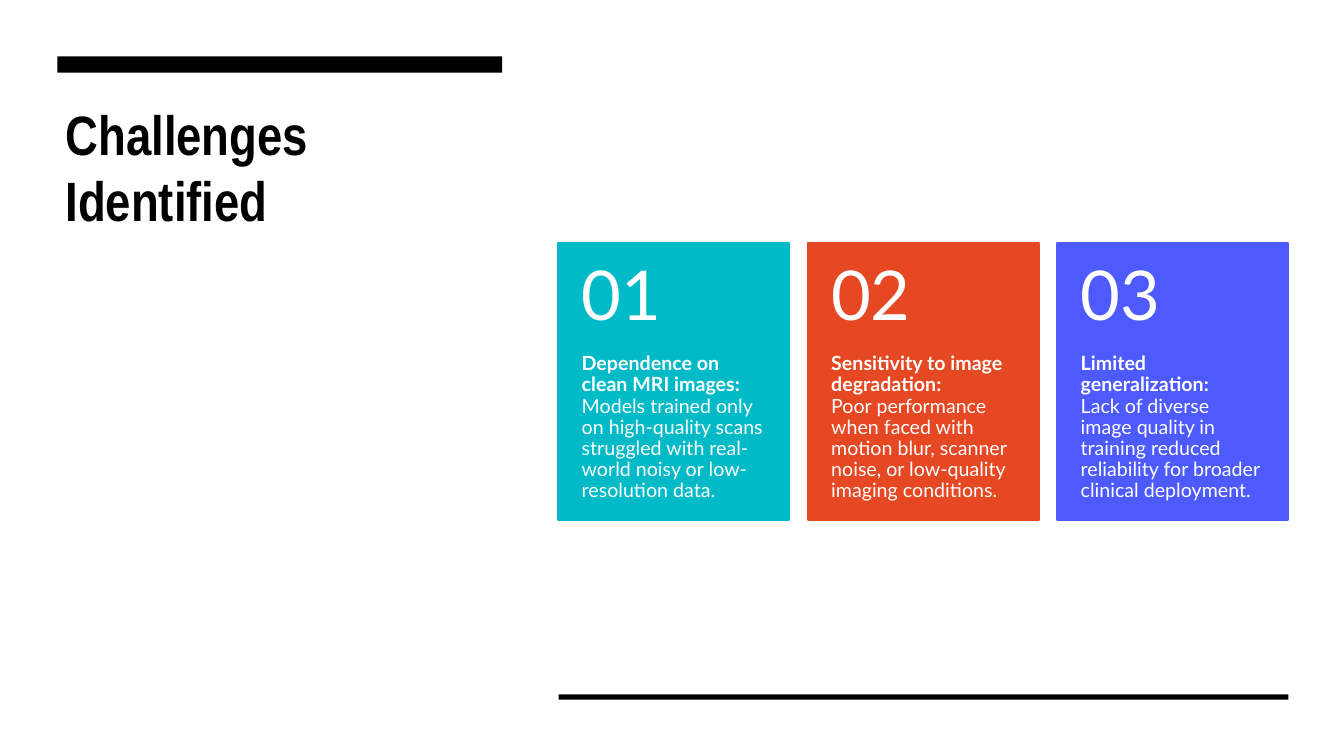
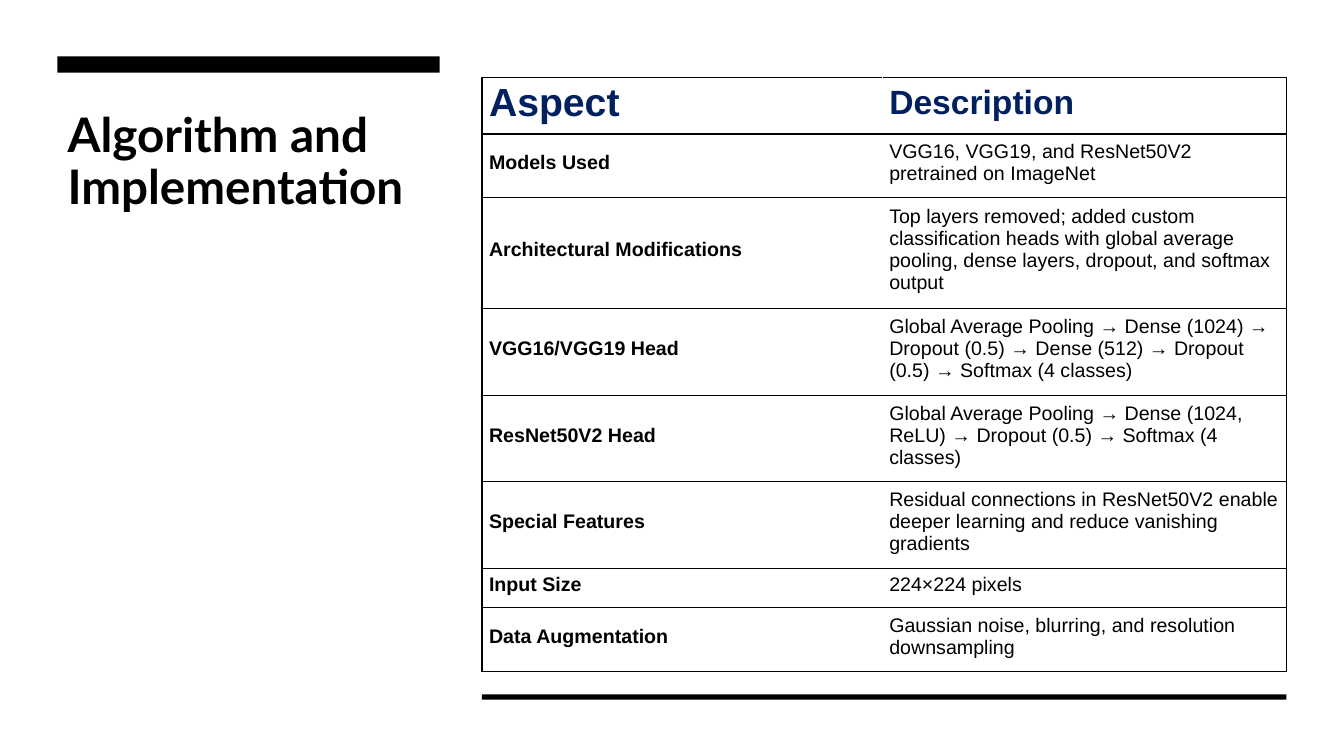
from dataclasses import dataclass

from lxml import etree
from pptx import Presentation
from pptx import util as u
from pptx.dml.color import RGBColor
from pptx.enum import shapes, text
from pptx.oxml import ns

WIDE, HIGH = u.Inches(13.33), u.Inches(7.5)


@dataclass(frozen=True)
class Theme:
    black: str = "000000"
    white: str = "FFFFFF"
    navy: str = "002060"
    cards: tuple = ("00BAC8", "E64823", "4D5AFF")
    sans: str = "Lato"
    slim: str = "Arial Narrow"
    grid: str = "Arial"
    body: float = 14
    digit: float = 49
    heads: tuple = (28, 24)


T = Theme()

CARDS = [
    ("Dependence on clean MRI images:",
     "Models trained only on high-quality scans struggled with "
     "real-world noisy or low-resolution data."),
    ("Sensitivity to image degradation:",
     "Poor performance when faced with motion blur, scanner noise, "
     "or low-quality imaging conditions."),
    ("Limited generalization:",
     "Lack of diverse image quality in training reduced reliability "
     "for broader clinical deployment."),
]

# Row height in inches, aspect, description
ROWS = [
    (0.56, "Aspect", "Description"),
    (0.63, "Models Used", "VGG16, VGG19, and ResNet50V2 pretrained on ImageNet"),
    (1.1, "Architectural Modifications",
     "Top layers removed; added custom classification heads with global "
     "average pooling, dense layers, dropout, and softmax output"),
    (0.86, "VGG16/VGG19 Head",
     "Global Average Pooling → Dense (1024) → Dropout (0.5) → Dense (512) "
     "→ Dropout (0.5) → Softmax (4 classes)"),
    (0.86, "ResNet50V2 Head",
     "Global Average Pooling → Dense (1024, ReLU) → Dropout (0.5) "
     "→ Softmax (4 classes)"),
    (0.86, "Special Features",
     "Residual connections in ResNet50V2 enable deeper learning and "
     "reduce vanishing gradients"),
    (0.39, "Input Size", "224×224 pixels"),
    (0.63, "Data Augmentation",
     "Gaussian noise, blurring, and resolution downsampling"),
]


def place(x, y, w, h):
    """Turn percent of the slide's size into lengths."""
    return [int(full * part / 100)
            for full, part in zip((WIDE, HIGH, WIDE, HIGH), (x, y, w, h))]


def write(frame, words, size=T.body, font=T.sans, color=T.black, bold=False,
          space=None, anchor=text.MSO_ANCHOR.TOP, inset=None):
    """Write one run, or several (words, bold) runs split by line breaks."""
    frame.word_wrap = True
    frame.auto_size = text.MSO_AUTO_SIZE.NONE
    frame.vertical_anchor = anchor
    if inset:
        (frame.margin_left, frame.margin_top, frame.margin_right,
         frame.margin_bottom) = map(u.Inches, inset)
    par = frame.paragraphs[0]
    par.alignment = text.PP_ALIGN.LEFT
    par.line_spacing = space
    runs = [(words, bold)] if isinstance(words, str) else words
    for n, (part, heavy) in enumerate(runs):
        if n:
            par.add_line_break()
        run = par.add_run()
        run.text = part
        run.font.size = u.Pt(size)
        run.font.name = font
        run.font.bold = heavy
        run.font.color.rgb = RGBColor.from_string(color)


def block(home, box, color, line=None):
    """Draw a flat filled rectangle."""
    rect = home.add_shape(shapes.MSO_SHAPE.RECTANGLE, *place(*box))
    rect.shadow.inherit = False
    rect.fill.solid()
    rect.fill.fore_color.rgb = RGBColor.from_string(color)
    if line:
        rect.line.color.rgb = RGBColor.from_string(color)
        rect.line.width = u.Pt(line)
    else:
        rect.line.fill.background()


def label(home, box, words, **style):
    write(home.add_textbox(*place(*box)).text_frame, words, **style)


def start(deck, title, box, bar, left, wide, **style):
    """Add a slide with its title, top bar and bottom rule."""
    slide = deck.slides.add_slide(deck.slide_layouts[5])
    slide.background.fill.solid()
    slide.background.fill.fore_color.rgb = RGBColor.from_string(T.white)
    head = slide.shapes.title
    head.left, head.top, head.width, head.height = place(*box)
    write(head.text_frame, title, bold=True, **style)
    block(slide.shapes, (4.28, 7.47, bar, 2.13), T.black)
    block(slide.shapes, (left, 91.87, wide, 0.67), T.black)
    return slide


def card(slide, num, box, color, lead, note):
    """Group a colour tile with its number and text."""
    x, y, w, h = box
    top = 0.4 * h
    home = slide.shapes.add_group_shape().shapes
    block(home, box, color, line=1.5)
    label(home, (x, y + top, w, h - top), [(lead, True), (note, False)],
          color=T.white, space=0.9, inset=(0.23, 0, 0.23, 0.1))
    label(home, (x, y, w, top), f"{num:02}", size=T.digit, color=T.white,
          space=0.9, anchor=text.MSO_ANCHOR.MIDDLE,
          inset=(0.23, 0.18, 0.23, 0.18))


def edge(cell, sides):
    """Give the named sides of a cell a thin black line."""
    props = cell._tc.get_or_add_tcPr()
    for side in sides:
        line = etree.SubElement(props, ns.qn(f"a:ln{side}"), w=str(u.Pt(1)))
        fill = etree.SubElement(line, ns.qn("a:solidFill"))
        etree.SubElement(fill, ns.qn("a:srgbClr"), val=T.black)


def table(slide, x, y, w):
    """Build the two-column table from ROWS."""
    tall = sum(row[0] for row in ROWS) / HIGH.inches * 100
    grid = slide.shapes.add_table(len(ROWS), 2, *place(x, y, w, tall)).table
    grid.first_row = grid.horz_banding = False
    for col, wide in zip(grid.columns, (3.97, 4.01)):
        col.width = u.Inches(wide)
    for r, (high, *words) in enumerate(ROWS):
        grid.rows[r].height = u.Inches(high)
        for c, word in enumerate(words):
            cell = grid.cell(r, c)
            edge(cell, ("LTB", "RTB")[c])
            cell.fill.solid()
            cell.fill.fore_color.rgb = RGBColor.from_string(T.white)
            cell.vertical_anchor = text.MSO_ANCHOR.MIDDLE
            (cell.margin_left, cell.margin_top, cell.margin_right,
             cell.margin_bottom) = map(u.Inches, (0.07, 0.03, 0.07, 0.09))
            fill_cell(cell, word, r == 0, c)


def fill_cell(cell, word, head, col):
    """Write a table cell, as heading or as body."""
    run = cell.text_frame.paragraphs[0].add_run()
    run.text = word
    run.font.name = T.grid
    run.font.size = u.Pt(T.heads[col] if head else T.body)
    run.font.bold = head or col == 0
    run.font.color.rgb = RGBColor.from_string(T.navy if head else T.black)


def main():
    deck = Presentation()
    deck.slide_width, deck.slide_height = WIDE, HIGH

    # Challenges: three equal cards above the rule
    left, wide, gap = 41.56, 54.31, 1.38
    slide = start(deck, "Challenges Identified", (4.13, 12.53, 34.43, 14.8),
                  33.08, left, wide, size=39.6, font=T.slim)
    span = (wide - gap * (len(CARDS) - 1)) / len(CARDS)
    for n, (color, (lead, note)) in enumerate(zip(T.cards, CARDS)):
        box = (left + n * (span + gap), 32.13, span, 36.67)
        card(slide, n + 1, box, color, lead, note)

    # Algorithm: table above the rule
    left, wide = 35.86, 59.86
    slide = start(deck, "Algorithm and Implementation",
                  (4.28, 14.13, 28.43, 42.93), 28.43, left, wide,
                  size=34, space=0.9)
    table(slide, left, 10.27, wide)

    deck.save("out.pptx")


if __name__ == "__main__":
    main()
